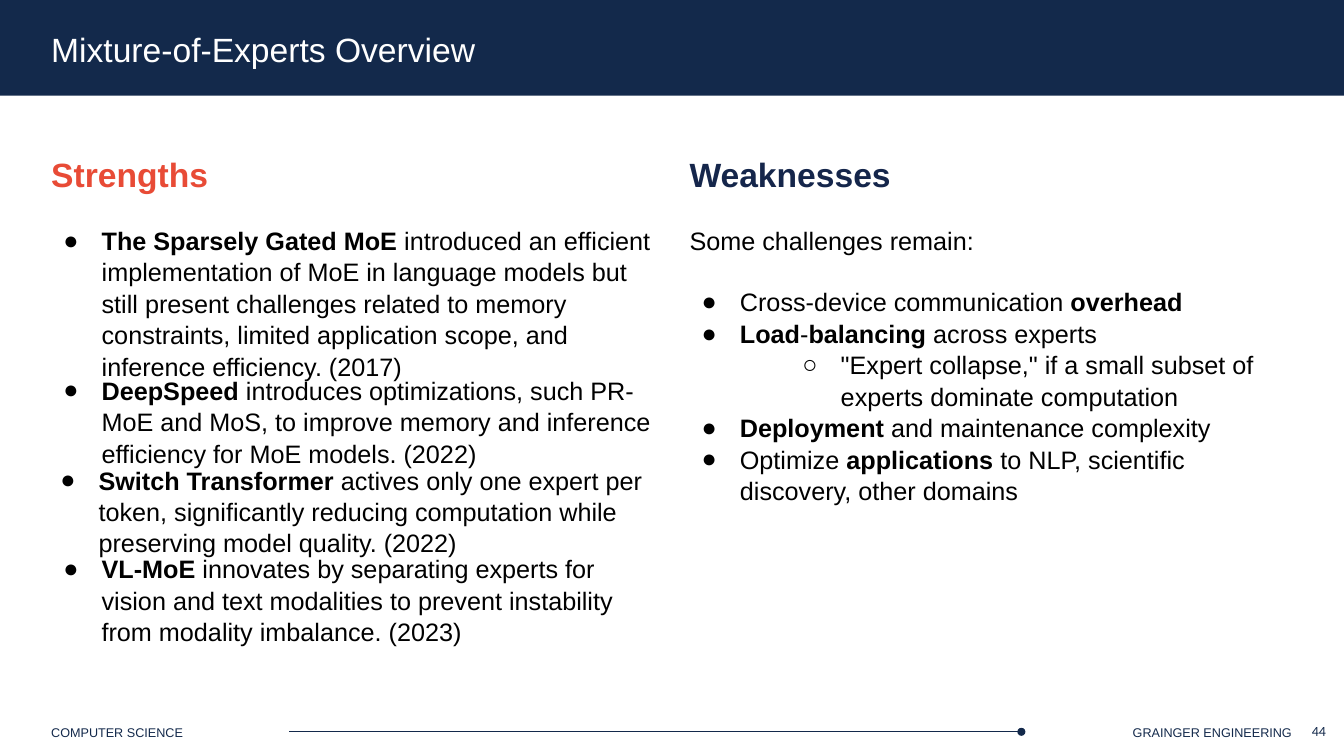
"""Build the Mixture-of-Experts overview slide."""
from dataclasses import dataclass

import lxml.etree
import pptx
import pptx.dml.color
import pptx.enum.shapes
import pptx.enum.text
import pptx.oxml.ns
import pptx.slide
import pptx.text.text
import pptx.util

Inches = pptx.util.Inches
Pt = pptx.util.Pt
Anchor = pptx.enum.text.MSO_ANCHOR
Align = pptx.enum.text.PP_ALIGN
Shape = pptx.enum.shapes.MSO_SHAPE
qn = pptx.oxml.ns.qn

HUES = {"navy": "13294B", "ink": "15264B", "red": "E84B36",
        "black": "000000", "white": "FFFFFF"}


@dataclass
class Para:
    text: str
    size: float = 18
    hue: str = "black"
    font: str = "Arial"
    mark: str = ""
    left: float = 0.5
    gap: float = 0
    lead: float = 1.04
    align: Align = Align.LEFT


@dataclass
class Box:
    left: float
    top: float
    width: float
    height: float
    paras: list[Para]
    pad: float = 0.05
    anchor: Anchor = Anchor.TOP


def point(text: str, left: float = 0.5, mark: str = "●", gap: float = 0) -> Para:
    return Para(text, mark=mark, left=left, gap=gap)


BOXES = [
    Box(0.41, 1.46, 6.21, 2.3, [
        Para("**Strengths**", 24, "red"),
        point("**The Sparsely Gated MoE** introduced an efficient implementation of MoE "
              "in language models but still present challenges related to memory "
              "constraints, limited application scope, and inference efficiency. (2017)",
              gap=21.5)]),
    Box(6.74, 1.46, 5.95, 5.27, [
        Para("**Weaknesses**", 24, "ink"),
        Para("Some challenges remain:", gap=21.5),
        point("Cross-device communication **overhead**", gap=21.5),
        point("**Load**-**balancing** across experts"),
        point('"Expert collapse," if a small subset of experts dominate computation',
              1.5, "○"),
        point("**Deployment** and maintenance complexity"),
        point("Optimize **applications** to NLP, scientific discovery, other domains")]),
    Box(0.41, 0.22, 11.93, 0.5, [Para("Mixture-of-Experts Overview", 24, "white")]),
    Box(10.21, 7.14, 2.7, 0.25, [
        Para("GRAINGER ENGINEERING", 9, "navy", lead=1, align=Align.RIGHT)]),
    Box(0.41, 7.14, 8.74, 0.25, [Para("COMPUTER SCIENCE", 9, "navy", lead=1)]),
    Box(10.25, 7.05, 3, 0.4, [
        Para("44", 10, "navy", "Calibri", lead=1, align=Align.RIGHT)],
        anchor=Anchor.MIDDLE),
    Box(0.41, 3.61, 6.24, 0.95, [
        point("**DeepSpeed **introduces optimizations, such PR-MoE and MoS, to improve "
              "memory and inference efficiency for MoE models. (2022)")], 0.1),
    Box(0.38, 4.5, 6.24, 0.95, [
        point("**Switch Transformer **actives only one expert per token, significantly "
              "reducing computation while preserving model quality. (2022)")], 0.1),
    Box(0.41, 5.38, 6.24, 1.18, [
        point("**VL-MoE **innovates by separating experts for vision and text modalities "
              "to prevent instability from modality imbalance. (2023)")], 0.1),
]


def tint(name: str) -> pptx.dml.color.RGBColor:
    return pptx.dml.color.RGBColor.from_string(HUES[name])


def apply(item: object, form: dict[str, object]) -> None:
    for name, value in form.items():
        setattr(item, name, value)


def add_mark(line: pptx.text.text._Paragraph, para: Para) -> None:
    props = line._p.get_or_add_pPr()
    props.set("marL", str(Inches(para.left)))
    props.set("indent", str(Inches(-0.38)))
    if para.left > 1:
        props.set("lvl", "1")
    hue = lxml.etree.SubElement(props, qn("a:buClr"))
    lxml.etree.SubElement(hue, qn("a:srgbClr"), val=HUES["black"])
    lxml.etree.SubElement(props, qn("a:buFont"), typeface="Arial")
    lxml.etree.SubElement(props, qn("a:buChar"), char=para.mark)


def add_para(line: pptx.text.text._Paragraph, para: Para) -> None:
    if para.mark:
        add_mark(line, para)
    apply(line, {"alignment": para.align, "line_spacing": para.lead})
    if para.gap:
        line.space_before = Pt(para.gap)
    for spot, part in enumerate(para.text.split("**")):
        if part:
            run = line.add_run()
            run.text = part
            apply(run.font, {"name": para.font, "size": Pt(para.size),
                             "bold": spot % 2 == 1})
            run.font.color.rgb = tint(para.hue)


def add_box(slide: pptx.slide.Slide, box: Box) -> None:
    sides = (box.left, box.top, box.width, box.height)
    frame = slide.shapes.add_textbox(*map(Inches, sides)).text_frame
    apply(frame, {"word_wrap": True, "vertical_anchor": box.anchor,
                  "margin_left": Inches(0.1), "margin_right": Inches(0.1),
                  "margin_top": Inches(box.pad), "margin_bottom": Inches(box.pad)})
    for spot, para in enumerate(box.paras):
        add_para(frame.add_paragraph() if spot else frame.paragraphs[0], para)


def add_solid(slide: pptx.slide.Slide, kind: Shape, *sides: float) -> None:
    solid = slide.shapes.add_shape(kind, *map(Inches, sides))
    solid.shadow.inherit = False
    solid.fill.solid()
    solid.fill.fore_color.rgb = tint("navy")
    solid.line.fill.background()


def add_rule(slide: pptx.slide.Slide, *ends: float) -> None:
    rule = slide.shapes.add_connector(
        pptx.enum.shapes.MSO_CONNECTOR.STRAIGHT, *map(Inches, ends))
    rule.line.color.rgb = tint("navy")
    rule.line.width = Pt(0.75)
    lxml.etree.SubElement(rule._element.spPr, qn("a:effectLst"))


def main() -> None:
    deck = pptx.Presentation()
    apply(deck, {"slide_width": Inches(13.33), "slide_height": Inches(7.5)})
    slide = deck.slides.add_slide(deck.slide_layouts[6])
    add_solid(slide, Shape.RECTANGLE, 0, 0, 13.33, 0.95)
    add_rule(slide, 10.1, 7.26, 2.87, 7.26)
    add_solid(slide, Shape.OVAL, 10.09, 7.22, 0.08, 0.08)
    for box in BOXES:
        add_box(slide, box)
    deck.save("out.pptx")


if __name__ == "__main__":
    main()
